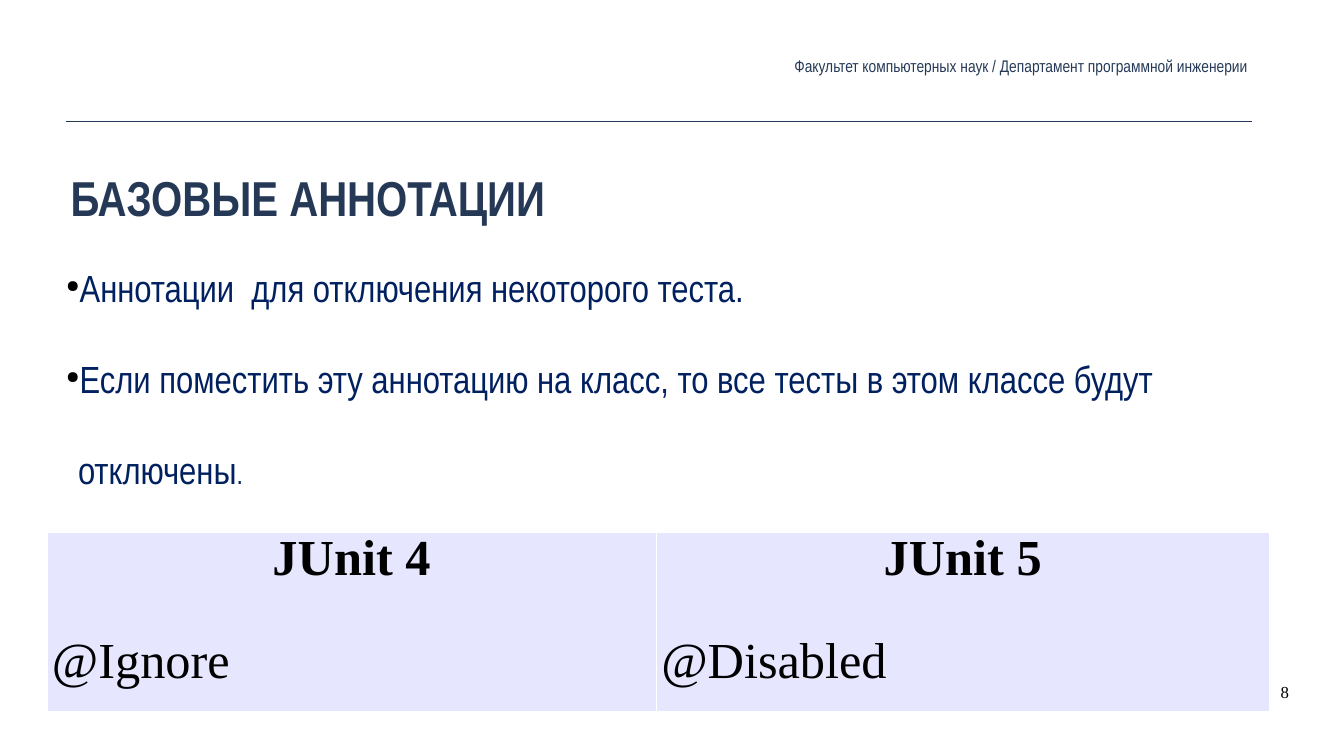
"""Build the slide on JUnit annotations that switch tests off."""
from dataclasses import dataclass

import lxml.etree
import pptx
import pptx.dml.color
import pptx.enum.shapes
import pptx.enum.text
import pptx.oxml.ns
import pptx.util

Pt = pptx.util.Pt
Align = pptx.enum.text.PP_ALIGN
Anchor = pptx.enum.text.MSO_ANCHOR


@dataclass(frozen=True)
class Theme:
    """Hold colours, fonts and type sizes."""
    navy: str = "253957"
    blue: str = "002060"
    black: str = "000000"
    white: str = "FFFFFF"
    lilac: str = "E6E6FF"
    sans: str = "Arial Narrow"
    serif: str = "Times New Roman"
    title: float = 70
    body: float = 54
    stop: float = 40
    cell: float = 72
    small: float = 24


@dataclass(frozen=True)
class Box:
    """Hold a place on the slide in points."""
    left: float
    top: float
    width: float
    height: float

    def emu(self) -> list:
        """Give the four lengths for python-pptx."""
        return [Pt(v) for v in (self.left, self.top, self.width, self.height)]


@dataclass(frozen=True)
class Font:
    """Hold the look of a run."""
    name: str
    size: float
    color: str
    bold: bool = False


@dataclass(frozen=True)
class Column:
    """Hold one table column."""
    head: str
    tag: str
    width: float


THEME = Theme()
HEAD = "Факультет компьютерных наук / Департамент программной инженерии"
POINTS = (
    "Аннотации  для отключения некоторого теста.",
    "Если поместить эту аннотацию на класс, то все тесты в этом классе будут отключены",
)
COLUMNS = (
    Column("JUnit 4", "@Ignore", 870.5),
    Column("JUnit 5", "@Disabled", 875.5),
)


def child(parent, tag: str, **attrs: str):
    """Append a drawing element."""
    return lxml.etree.SubElement(parent, pptx.oxml.ns.qn(tag), attrs)


def style(para, font: Font, align=Align.LEFT) -> None:
    """Format a paragraph and all its runs."""
    para.alignment = align
    for run in para.runs:
        face = run.font
        face.name, face.size, face.bold = font.name, Pt(font.size), font.bold
        face.color.rgb = pptx.dml.color.RGBColor.from_string(font.color)


def hang(para, space: float) -> None:
    """Set the hanging indent and line spacing."""
    para.line_spacing = space
    props = para._p.get_or_add_pPr()
    props.set("marL", str(Pt(17)))
    props.set("indent", str(Pt(-17)))


def bullet(para) -> None:
    """Give a paragraph a small round bullet."""
    props = para._p.get_or_add_pPr()
    child(child(props, "a:buClr"), "a:srgbClr", val=THEME.black)
    child(props, "a:buSzPct", val="45000")
    child(props, "a:buChar", char="●")


def inset(frame, side: float, edge: float) -> None:
    """Set the text margins."""
    frame.margin_left = frame.margin_right = Pt(side)
    frame.margin_top = frame.margin_bottom = Pt(edge)


def label(slide, box: Box, text: str, font: Font, align=Align.LEFT, anchor=Anchor.TOP):
    """Add a text box and return its frame."""
    frame = slide.shapes.add_textbox(*box.emu()).text_frame
    frame.word_wrap = True
    frame.vertical_anchor = anchor
    inset(frame, 6, 6)
    frame.text = text
    for para in frame.paragraphs:
        style(para, font, align)
    return frame


def rule(slide, left: float, right: float, top: float) -> None:
    """Draw the thin line under the header."""
    kind = pptx.enum.shapes.MSO_CONNECTOR.STRAIGHT
    line = slide.shapes.add_connector(kind, Pt(left), Pt(top), Pt(right), Pt(top))
    line.line.width = Pt(1)
    line.line.color.rgb = pptx.dml.color.RGBColor.from_string(THEME.navy)
    child(line._element.spPr, "a:effectLst")


def title(slide, box: Box, text: str) -> None:
    """Place and fill the title."""
    shape = slide.shapes.title
    shape.left, shape.top, shape.width, shape.height = box.emu()
    frame = shape.text_frame
    frame.text = text
    frame.word_wrap = True
    frame.auto_size = pptx.enum.text.MSO_AUTO_SIZE.NONE
    frame.vertical_anchor = Anchor.TOP
    inset(frame, 6, 6)
    style(frame.paragraphs[0], Font(THEME.sans, THEME.title, THEME.navy, True))


def body(slide, box: Box) -> None:
    """Add the bulleted points."""
    font = Font(THEME.sans, THEME.body, THEME.blue)
    frame = label(slide, box, "\n".join(POINTS), font)
    for para in frame.paragraphs:
        hang(para, 2)
        bullet(para)
    stop = frame.paragraphs[-1].add_run()
    stop.text = "."
    style(frame.paragraphs[-1], font)
    stop.font.size = Pt(THEME.stop)


def border(cell) -> None:
    """Draw hairline white edges on a cell."""
    props = cell._tc.get_or_add_tcPr()
    for spot, tag in enumerate(("a:lnL", "a:lnR", "a:lnT", "a:lnB")):
        edge = child(props, tag, w=str(Pt(0.06)))
        child(child(edge, "a:solidFill"), "a:srgbClr", val=THEME.white)
        props.insert(spot, edge)


def table(slide, box: Box) -> None:
    """Add the table of annotations."""
    grid = slide.shapes.add_table(1, len(COLUMNS), *box.emu()).table
    grid.first_row = grid.horz_banding = False
    for spot, col in enumerate(COLUMNS):
        grid.columns[spot].width = Pt(col.width)
        cell = grid.cell(0, spot)
        cell.fill.solid()
        cell.fill.fore_color.rgb = pptx.dml.color.RGBColor.from_string(THEME.lilac)
        inset(cell, 7.2, 3.6)
        border(cell)
        cell.text_frame.text = f"{col.head}\n{col.tag}"
        head, tag = cell.text_frame.paragraphs
        style(head, Font(THEME.serif, THEME.cell, THEME.black, True), Align.CENTER)
        style(tag, Font(THEME.serif, THEME.cell, THEME.black))
        hang(head, 0.93)
        hang(tag, 0.93)
        tag.space_before = Pt(72)


def main() -> None:
    """Build and save the deck."""
    deck = pptx.Presentation()
    deck.slide_width, deck.slide_height = Pt(1920), Pt(1080)
    slide = deck.slides.add_slide(deck.slide_layouts[5])
    rule(slide, 94.5, 1788, 174)
    title(slide, Box(95, 234, 1687, 124.5), "БАЗОВЫЕ АННОТАЦИИ")
    body(slide, Box(88.5, 308, 1693.5, 662))
    label(slide, Box(893, 74, 895, 40), HEAD,
          Font(THEME.sans, THEME.small, THEME.navy), Align.RIGHT, Anchor.MIDDLE)
    page = label(slide, Box(1822.5, 970, 90, 34), "8",
                 Font(THEME.serif, THEME.small, THEME.black))
    inset(page, 7.2, 3.6)
    table(slide, Box(67, 759.5, 1746, 257))
    deck.save("out.pptx")


if __name__ == "__main__":
    main()
